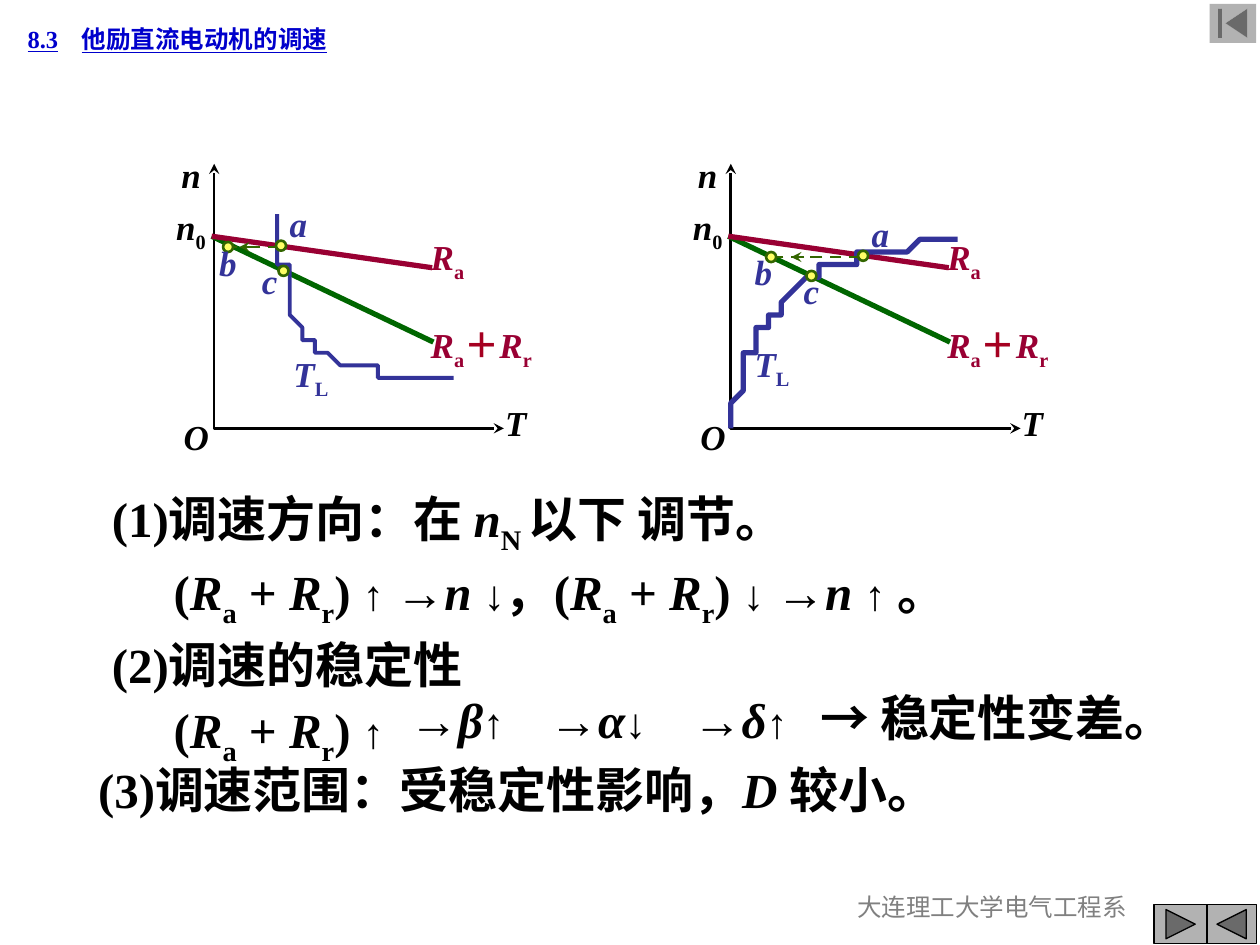
from lxml.etree import SubElement
from pptx import Presentation
from pptx.dml.color import RGBColor
from pptx.enum.dml import MSO_LINE
from pptx.enum.shapes import MSO_CONNECTOR, MSO_SHAPE
from pptx.enum.text import MSO_ANCHOR, MSO_AUTO_SIZE, PP_ALIGN
from pptx.oxml.ns import qn
from pptx.util import Inches, Pt

# The slide is a grid of 100 columns by 75 rows
CELL = Inches(0.1)
COLUMNS, ROWS = 100, 75
BLACK, BLUE, CRIMSON, GREEN, OLIVE = "000000", "333399", "990033", "006600", "336600"
SERIF = "Times New Roman"

RESISTANCE = [("(", ""), ("R", "italic"), ("a", "sub"), (" + ", ""),
              ("R", "italic"), ("r", "sub"), (") ", "")]


def grid(cells):
    return round(cells * CELL)


def colour(value):
    return RGBColor.from_string(value)


def add_runs(paragraph, runs, size, ink, bold=True):
    """Write (text, style) runs that share one paragraph font."""
    font = paragraph.font
    font.name, font.size, font.bold = SERIF, Pt(size), bold
    font.color.rgb = colour(ink)
    for text, style in runs:
        run = paragraph.add_run()
        run.text = text
        if style == "italic":
            run.font.italic = True
        elif style == "sub":
            run.font._element.set("baseline", "-25000")
        elif style == "arrow":
            run.font.name, run.font.size = "Arial", Pt(24)
        elif style == "plus":
            run.font.color.rgb = colour("A50021")


def add_text(slide, box, runs, size=20, ink=BLACK, bold=True, wrap=True):
    shape = slide.shapes.add_textbox(*map(grid, box))
    frame = shape.text_frame
    frame.word_wrap = wrap
    frame.auto_size = MSO_AUTO_SIZE.SHAPE_TO_FIT_TEXT
    add_runs(frame.paragraphs[0], runs, size, ink, bold)
    return frame


def add_letter(slide, letter, column, row, ink=BLACK):
    add_text(slide, (column, row, 3.5, 4.4), [(letter, "italic")], ink=ink)


def add_symbol(slide, letter, subscript, column, row, ink=BLACK):
    return add_text(slide, (column, row, 4.8, 4.8),
                    [(letter, "italic"), (subscript, "sub")], ink=ink, wrap=False)


def style_line(shape, ink, width, ends=()):
    shape.line.color.rgb = colour(ink)
    shape.line.width = Pt(width)
    for end in ends:
        SubElement(shape.line._get_or_add_ln(), qn(f"a:{end}"), type="stealth")


def add_line(slide, start, end, ink, width, dashed=False, ends=()):
    line = slide.shapes.add_connector(MSO_CONNECTOR.STRAIGHT, *map(grid, start + end))
    SubElement(line._element.spPr, qn("a:effectLst"))
    style_line(line, ink, width)
    if dashed:
        line.line.dash_style = MSO_LINE.DASH
    style_line(line, ink, width, ends)


def add_path(slide, points, ink, width, ends=()):
    builder = slide.shapes.build_freeform(*points[0], scale=CELL)
    builder.add_line_segments(points[1:], close=False)
    shape = builder.convert_to_shape()
    shape.shadow.inherit = False
    shape.fill.background()
    style_line(shape, ink, width, ends)


def curve_points(knots, steps=16):
    """Sample a chain of cubic curves: start, then two handles and an end each."""
    points = [knots[0]]
    for first in range(0, len(knots) - 1, 3):
        piece = knots[first:first + 4]
        for step in range(1, steps + 1):
            t = step / steps
            weights = ((1 - t) ** 3, 3 * t * (1 - t) ** 2, 3 * t * t * (1 - t), t ** 3)
            points.append(tuple(sum(w * knot[axis] for w, knot in zip(weights, piece))
                                for axis in (0, 1)))
    return points


def add_dot(slide, column, row, size=0.8):
    dot = slide.shapes.add_shape(MSO_SHAPE.OVAL, grid(column - size / 2),
                                 grid(row - size / 2), grid(size), grid(size))
    dot.shadow.inherit = False
    dot.fill.solid()
    dot.fill.fore_color.rgb = colour("FFFF66")
    style_line(dot, OLIVE, 1.5)


def add_button(slide, kind, box, outlined=True):
    button = slide.shapes.add_shape(kind, *map(grid, box))
    button.shadow.inherit = False
    button.fill.solid()
    button.fill.fore_color.rgb = colour("B2B2B2")
    if outlined:
        style_line(button, BLACK, 0.75)
    else:
        button.line.fill.background()


def add_diagram(slide, left, load, load_width, load_label, dots, letters, dashes):
    """Speed-torque diagram whose speed axis stands at column left."""
    # Axes
    add_path(slide, [(left + 22.9, 33.7), (left, 33.7), (left, 13.4)], BLACK, 1.5,
             ("headEnd", "tailEnd"))
    for letter, column, row in (("O", -3.3, 32.5), ("T", 22.2, 31.4), ("n", -3.5, 11.7)):
        add_letter(slide, letter, left + column, row)
    # Motor characteristics
    start = (left - 0.1, 18.75)
    add_line(slide, start, (left + 17.5, 27.15), GREEN, 3)
    names = add_text(slide, (left + 16.3, 18.2, 11.7, 11.9),
                     [("R", "italic"), ("a", "sub")], ink=CRIMSON, wrap=False)
    total = names.add_paragraph()
    total.space_before = Pt(23)
    add_runs(total, [("R", "italic"), ("a", "sub"), ("＋", "plus"),
                     ("R", "italic"), ("r", "sub")], 20, CRIMSON)
    add_line(slide, start, (left + 17.4, 21.25), CRIMSON, 3)
    add_symbol(slide, "n", "0", left - 3.9, 15.8)
    # Load characteristic
    add_path(slide, curve_points(load), BLUE, load_width)
    add_symbol(slide, "T", "L", *load_label, ink=BLUE)
    # Step from a to b
    row, begin, tip, resume, stop = dashes
    add_line(slide, (begin, row), (tip, row), OLIVE, 1.5, True, ("tailEnd",))
    add_line(slide, (resume, row), (stop, row), OLIVE, 1.5, True)
    # Operating points
    for letter, dot, corner in zip("abc", dots, letters):
        add_dot(slide, *dot)
        add_letter(slide, letter, *corner, ink=BLUE)


def add_conclusions(slide):
    up, down = ("↑", "arrow"), ("↓", "arrow")
    lines = [
        (0, [("(1)调速方向：在 ", ""), ("n", "italic"), ("N ", "sub"), ("以下 调节。", "")]),
        (4.9, RESISTANCE + [("↑ ", "arrow"), ("→", ""), ("n ", "italic"), down, ("，", "")]
         + RESISTANCE + [down, (" →", ""), ("n ", "italic"), up, (" ", "italic"), ("。", "")]),
        (0, [("(2)调速的稳定性", "")]),
        (4.9, RESISTANCE + [up]),
    ]
    frame = add_text(slide, (7.9, 38.3, 72.4, 23.1), lines[0][1], 28)
    for indent, runs in lines[1:]:
        paragraph = frame.add_paragraph()
        paragraph._p.get_or_add_pPr().set("marL", str(grid(indent)))
        paragraph.space_before = Pt(3.5)
        add_runs(paragraph, runs, 28, BLACK)
    # Chain of effects on stability
    for column, letter, arrow in ((31.5, "β", up), (42.6, "α", down), (54, "δ", up)):
        add_text(slide, (column, 54.2, 11, 5.7), [("→", ""), (letter, "italic"), arrow], 28)
    add_text(slide, (64.1, 54.1, 31.9, 5.7), [("→ 稳定性变差。", "")], 28)
    add_text(slide, (6.8, 59.8, 73.3, 5.7),
             [("(3)调速范围：受稳定性影响，", ""), ("D ", "italic"), ("较小。", "")], 28)


def add_header(slide):
    frame = add_text(slide, (1.2, 1.4, 31.9, 3.4), [], 14, "0000CC")
    frame.vertical_anchor = MSO_ANCHOR.MIDDLE
    paragraph = frame.paragraphs[0]
    stops = SubElement(paragraph._p.get_or_add_pPr(), qn("a:tabLst"))
    SubElement(stops, qn("a:tab"), pos=str(grid(4.3)), algn="l")
    stops.getparent().insert(0, stops)
    paragraph.font.underline = True
    paragraph.add_run().text = "8.3\t他励直流电动机的调速"


def main():
    presentation = Presentation()
    presentation.slide_width, presentation.slide_height = grid(COLUMNS), grid(ROWS)
    slide = presentation.slides.add_slide(presentation.slide_layouts[6])

    add_header(slide)
    # Load torque falling with speed, then rising with speed
    add_diagram(slide, 16.9,
                [(22.1, 16.8), (22.2, 17.6), (22.3, 20.1), (22.6, 21.8), (23, 23.5),
                 (23.3, 25.7), (24.4, 26.9), (25.4, 28.2), (27.2, 28.8), (29, 29.3),
                 (30.9, 29.8), (34.3, 29.7), (35.6, 29.8)],
                2.25, (22.3, 27.5),
                [(22.3, 19.5), (18.1, 19.6), (22.5, 21.5)],
                [(22, 15.6), (16.4, 18.7), (19.8, 20.1)],
                (19.6, 22.1, 19, 20.3, 18.2))
    add_diagram(slide, 57.9,
                [(58, 33.6), (58.6, 31), (59.2, 28.3), (60.4, 26.3), (61.6, 24.3),
                 (62.6, 22.6), (65.3, 21.4), (67.9, 20.2), (72.1, 19.6), (76.3, 19)],
                3, (58.9, 26.7),
                [(68.5, 20.3), (61.2, 20.4), (64.4, 21.9)],
                [(68.2, 16.4), (58.9, 19.4), (62.8, 20.9)],
                (20.4, 68.2, 62.8, 65.1, 61.2))
    add_conclusions(slide)

    # Footer and navigation buttons
    footer = add_text(slide, (62.9, 70.3, 31.7, 5), [("大连理工大学电气工程系", "")],
                      14, "808080", bold=False)
    footer.paragraphs[0].alignment = PP_ALIGN.CENTER
    add_button(slide, MSO_SHAPE.ACTION_BUTTON_FORWARD_OR_NEXT, (91.6, 71.8, 4.2, 3.1))
    add_button(slide, MSO_SHAPE.ACTION_BUTTON_BACK_OR_PREVIOUS, (95.8, 71.8, 3.9, 3.1))
    add_button(slide, MSO_SHAPE.ACTION_BUTTON_BEGINNING, (96, 0.3, 3.7, 3.1), outlined=False)

    presentation.save("out.pptx")


if __name__ == "__main__":
    main()
